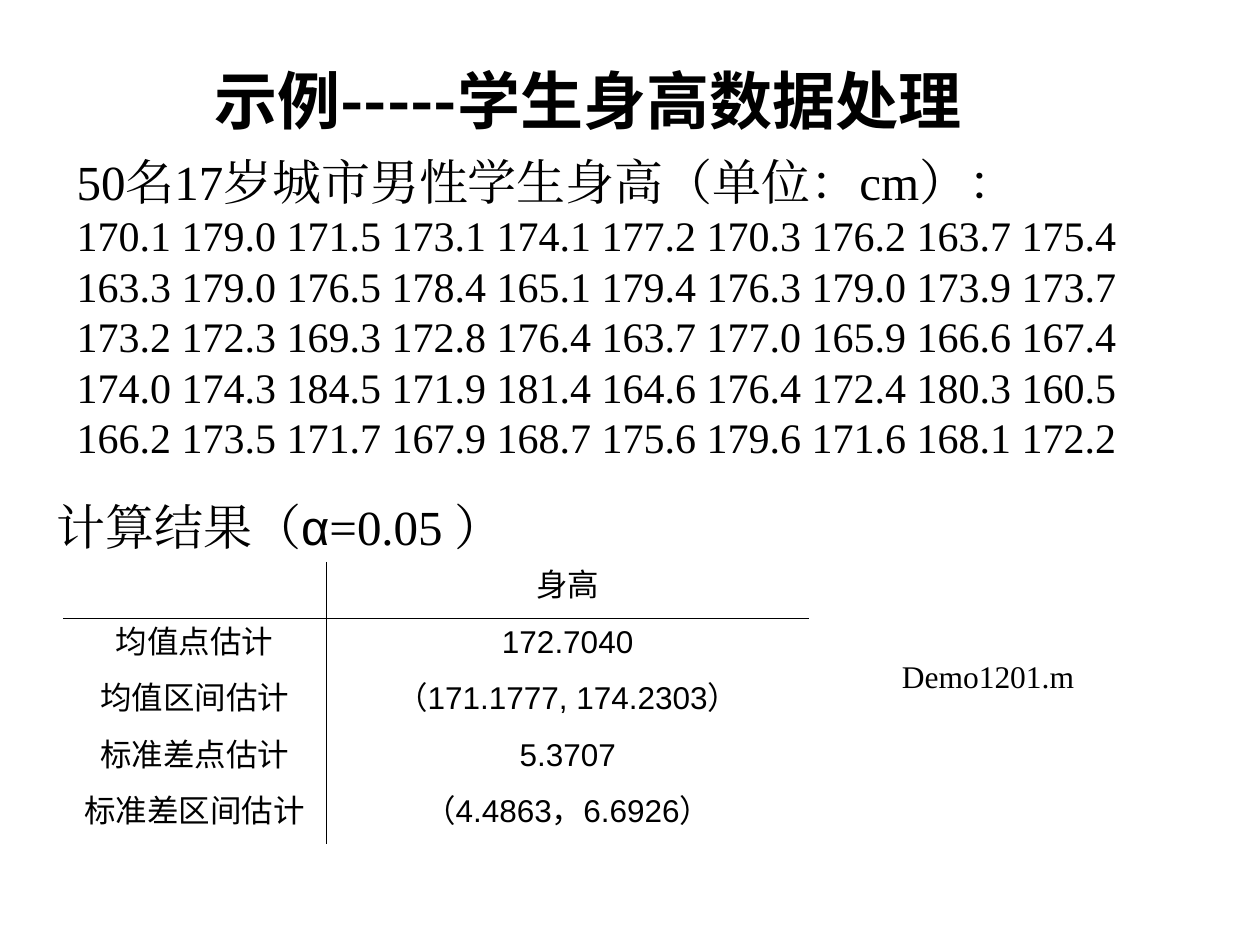
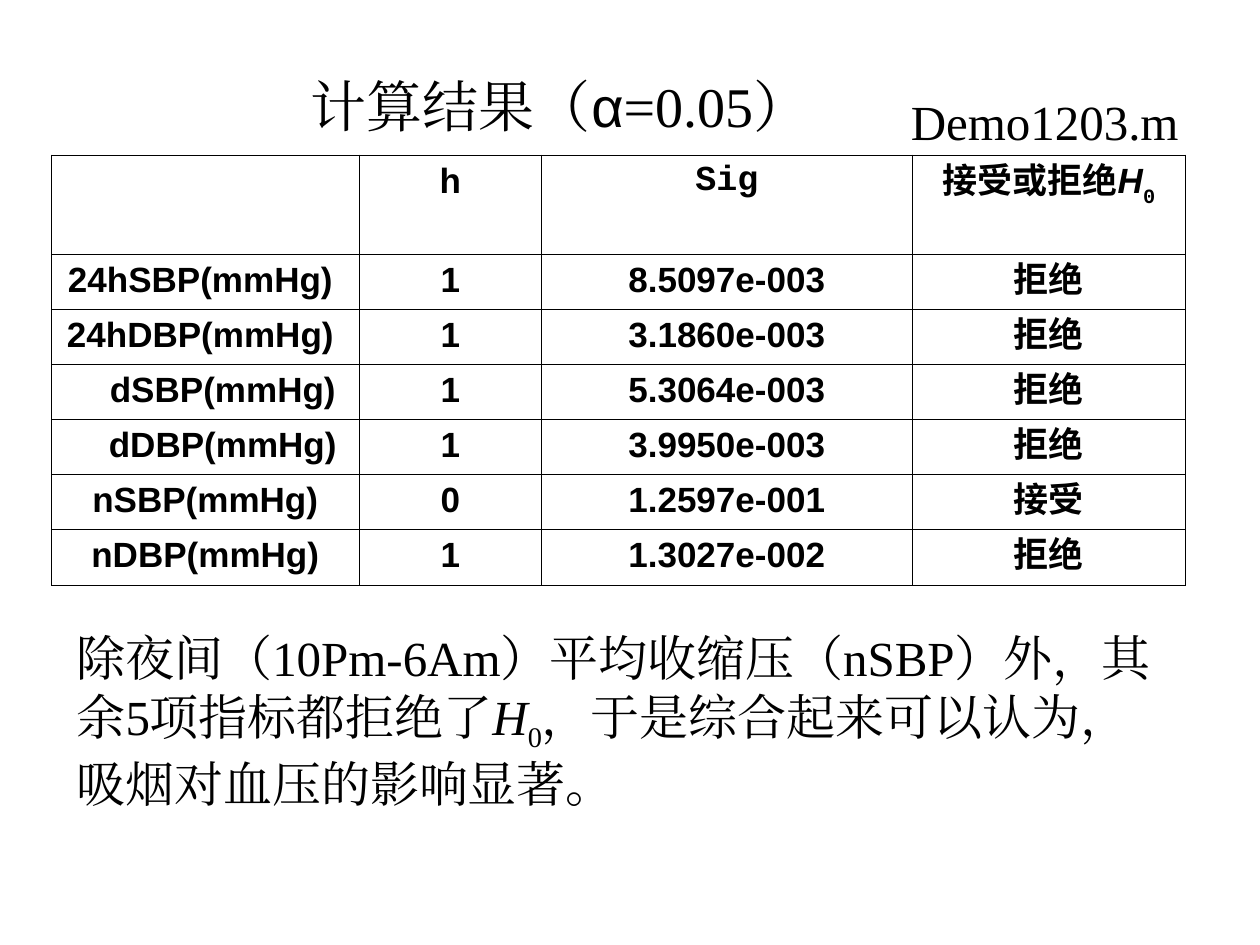
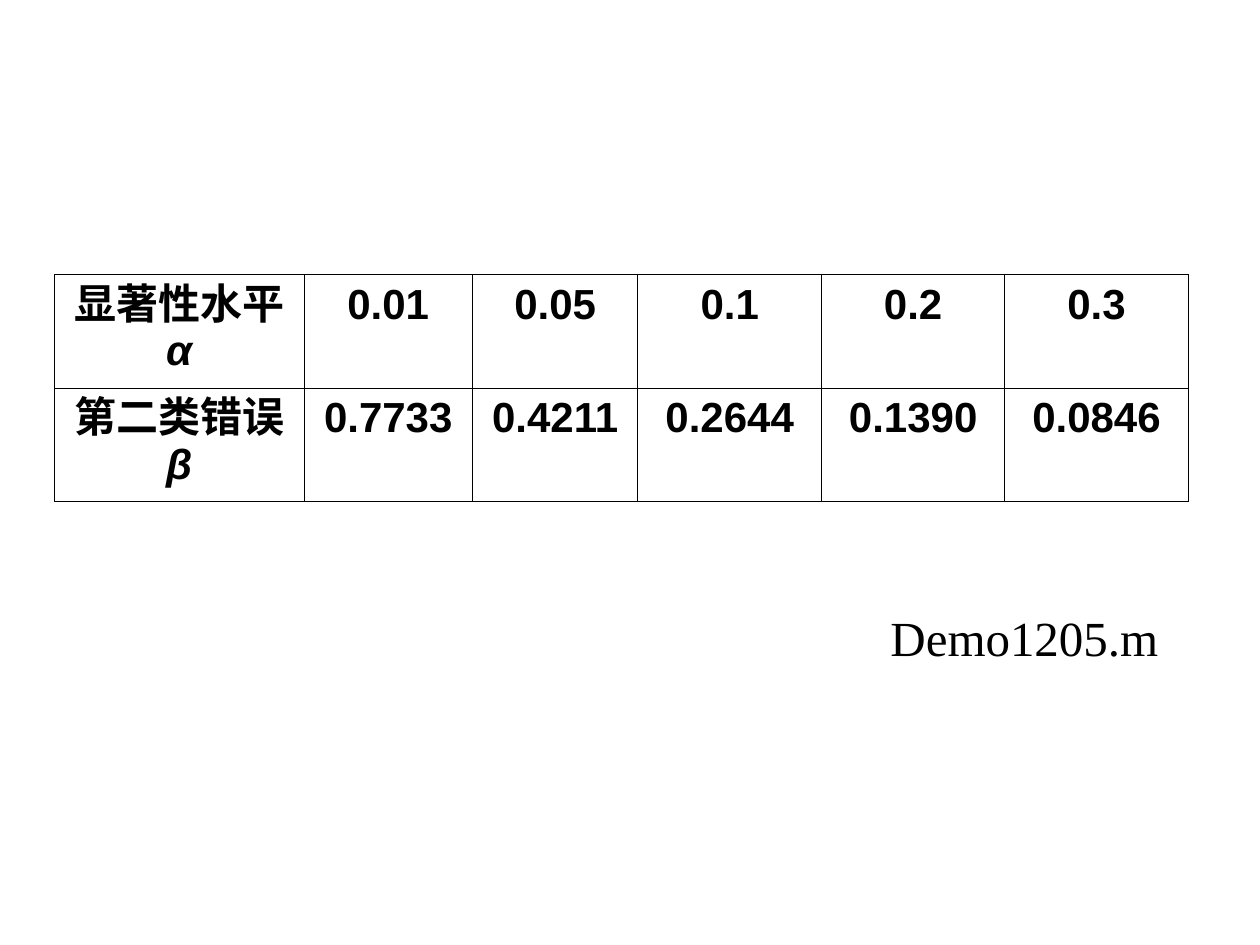
from dataclasses import dataclass

import pptx
import pptx.dml.color
import pptx.enum.text
import pptx.oxml
import pptx.oxml.ns
import pptx.util

Pt = pptx.util.Pt
ALIGN = pptx.enum.text.PP_ALIGN


@dataclass(frozen=True)
class Theme:
    ink: str = "000000"
    serif: str = "Times New Roman"
    sans: str = "Arial"
    mono: str = "Courier New"
    cjk: str = "Noto Sans CJK SC"
    title: int = 36
    heading: int = 32
    body: int = 28
    data: int = 24
    cell: int = 20
    small: int = 18
    rule: float = 0.96
    hairline: float = 0.45


THEME = Theme()


def write(p, text, size=THEME.body, font=THEME.serif, bold=False, italic=False, baseline=0):
    r = p.add_run()
    r.text = text
    f = r.font
    f.size = Pt(size)
    f.bold = bold
    f.italic = italic
    f.color.rgb = pptx.dml.color.RGBColor.from_string(THEME.ink)
    f.name = font
    rPr = r._r.get_or_add_rPr()
    if baseline:
        rPr.set("baseline", str(baseline * 1000))
    ea = pptx.oxml.parse_xml(f'<a:ea {pptx.oxml.ns.nsdecls("a")} typeface="{font}"/>')
    rPr.find(pptx.oxml.ns.qn("a:latin")).addnext(ea)


def write_runs(p, content, **fmt):
    runs = [(content, {})] if isinstance(content, str) else content
    for text, changes in runs:
        write(p, text, **{**fmt, **changes})


def add_text(s, left, top, width, height, lines, align=ALIGN.LEFT, wrap=True, **fmt):
    tf = s.shapes.add_textbox(Pt(left), Pt(top), Pt(width), Pt(height)).text_frame
    tf.word_wrap = wrap
    tf.auto_size = pptx.enum.text.MSO_AUTO_SIZE.SHAPE_TO_FIT_TEXT
    for i, line in enumerate(lines):
        p = tf.add_paragraph() if i else tf.paragraphs[0]
        p.alignment = align
        write_runs(p, line, **fmt)


def set_borders(cell, sides, width):
    tcPr = cell._tc.get_or_add_tcPr()
    for side in "LRTB":
        fill = (f'<a:solidFill><a:srgbClr val="{THEME.ink}"/></a:solidFill>'
                if side in sides else "<a:noFill/>")
        tcPr.append(pptx.oxml.parse_xml(
            f'<a:ln{side} {pptx.oxml.ns.nsdecls("a")} w="{int(Pt(width))}">{fill}</a:ln{side}>'))


def all_sides(row, col):
    return "LRTB"


def cross_sides(row, col):
    return ("R" if col == 0 else "L") + {0: "B", 1: "T"}.get(row, "")


def add_grid(s, left, top, cols, heights, rows, sides=all_sides, line=THEME.hairline, **fmt):
    frame = s.shapes.add_table(len(rows), len(cols), Pt(left), Pt(top),
                               Pt(sum(cols)), Pt(sum(heights)))
    table = frame.table
    table.first_row = table.horz_banding = False
    for column, width in zip(table.columns, cols):
        column.width = Pt(width)
    for i, (values, height) in enumerate(zip(rows, heights)):
        table.rows[i].height = Pt(height)
        for j, value in enumerate(values):
            cell = table.cell(i, j)
            set_borders(cell, sides(i, j), line)
            cell.fill.background()
            p = cell.text_frame.paragraphs[0]
            p.alignment = ALIGN.CENTER
            if value:
                write_runs(p, value, font=THEME.sans, **fmt)


def alpha_result(ending):
    return [("计算结果（", {}), ("α", {"font": THEME.sans}), (f"=0.05{ending}", {})]


def heights_slide(s):
    data = [
        "170.1 179.0 171.5 173.1 174.1 177.2 170.3 176.2 163.7 175.4",
        "163.3 179.0 176.5 178.4 165.1 179.4 176.3 179.0 173.9 173.7",
        "173.2 172.3 169.3 172.8 176.4 163.7 177.0 165.9 166.6 167.4",
        "174.0 174.3 184.5 171.9 181.4 164.6 176.4 172.4 180.3 160.5",
        "166.2 173.5 171.7 167.9 168.7 175.6 179.6 171.6 168.1 172.2",
    ]
    intro = [("50名17岁城市男性学生身高（单位：cm）：", {"size": THEME.body})]
    add_text(s, 36.7, 82.8, 640.8, 185, [intro, *data], size=THEME.data)
    add_text(s, 56.9, 31.7, 558, 50.4, ["示例-----学生身高数据处理"], align=ALIGN.CENTER,
             size=THEME.title, font=THEME.cjk, bold=True)
    estimates = [
        ("", "身高"),
        ("均值点估计", "172.7040"),
        ("均值区间估计", "（171.1777, 174.2303）"),
        ("标准差点估计", "5.3707"),
        ("标准差区间估计", "（4.4863，6.6926）"),
    ]
    add_grid(s, 36, 321.1, [150.5, 275.8], [32.3] * len(estimates), estimates,
             sides=cross_sides, line=THEME.rule, size=THEME.small)
    add_text(s, 25.2, 280.1, 306, 41, [alpha_result(" ）")])
    add_text(s, 508.3, 372.2, 113, 28.8, ["Demo1201.m"], wrap=False, size=THEME.small)


def blood_pressure_slide(s):
    verdict = [("接受或拒绝", {}), ("H", {"italic": True}),
               ("0", {"font": THEME.mono, "baseline": -30})]
    tests = [
        ("", "h", [("Sig", {"font": THEME.mono})], verdict),
        ("24hSBP(mmHg) ", "1", "8.5097e-003", "拒绝"),
        ("24hDBP(mmHg) ", "1", "3.1860e-003", "拒绝"),
        ("　dSBP(mmHg)", "1", "5.3064e-003", "拒绝"),
        ("　dDBP(mmHg)", "1", "3.9950e-003", "拒绝"),
        ("nSBP(mmHg)", "0", "1.2597e-001", "接受"),
        ("nDBP(mmHg)", "1", "1.3027e-002", "拒绝"),
    ]
    add_grid(s, 29.5, 88.6, [175.6, 104.4, 211.7, 156.3], [57] + [31.45] * 6, tests,
             size=THEME.cell, bold=True)
    add_text(s, 70.6, 37.4, 499, 46, [alpha_result("）")], align=ALIGN.CENTER,
             size=THEME.heading)
    conclusion = [
        ("除夜间（10Pm-6Am）平均收缩压（nSBP）外，其余5项指标都拒绝了", {}),
        ("H", {"italic": True}),
        ("0", {"baseline": -25}),
        ("，于是综合起来可以认为，吸烟对血压的影响显著。", {}),
    ]
    add_text(s, 36.7, 355, 640.8, 113, [conclusion])
    add_text(s, 513.4, 49, 170, 41, ["Demo1203.m"])


def error_slide(s):
    errors = [
        ([("显著性水平", {}), ("α", {"italic": True})], "0.01", "0.05", "0.1", "0.2", "0.3"),
        ([("第二类错误", {}), ("β", {"italic": True})],
         "0.7733", "0.4211", "0.2644", "0.1390", "0.0846"),
    ]
    add_grid(s, 31, 157, [142.7, 96.3, 94.5, 105, 104.7, 104.8], [64.8] * 2, errors,
             size=THEME.data, bold=True)
    add_text(s, 501.8, 343.4, 187.2, 41, ["Demo1205.m"])


def main():
    prs = pptx.Presentation()
    prs.slide_width, prs.slide_height = Pt(720), Pt(540)
    for build in (heights_slide, blood_pressure_slide, error_slide):
        build(prs.slides.add_slide(prs.slide_layouts[6]))
    prs.save("out.pptx")


if __name__ == "__main__":
    main()
